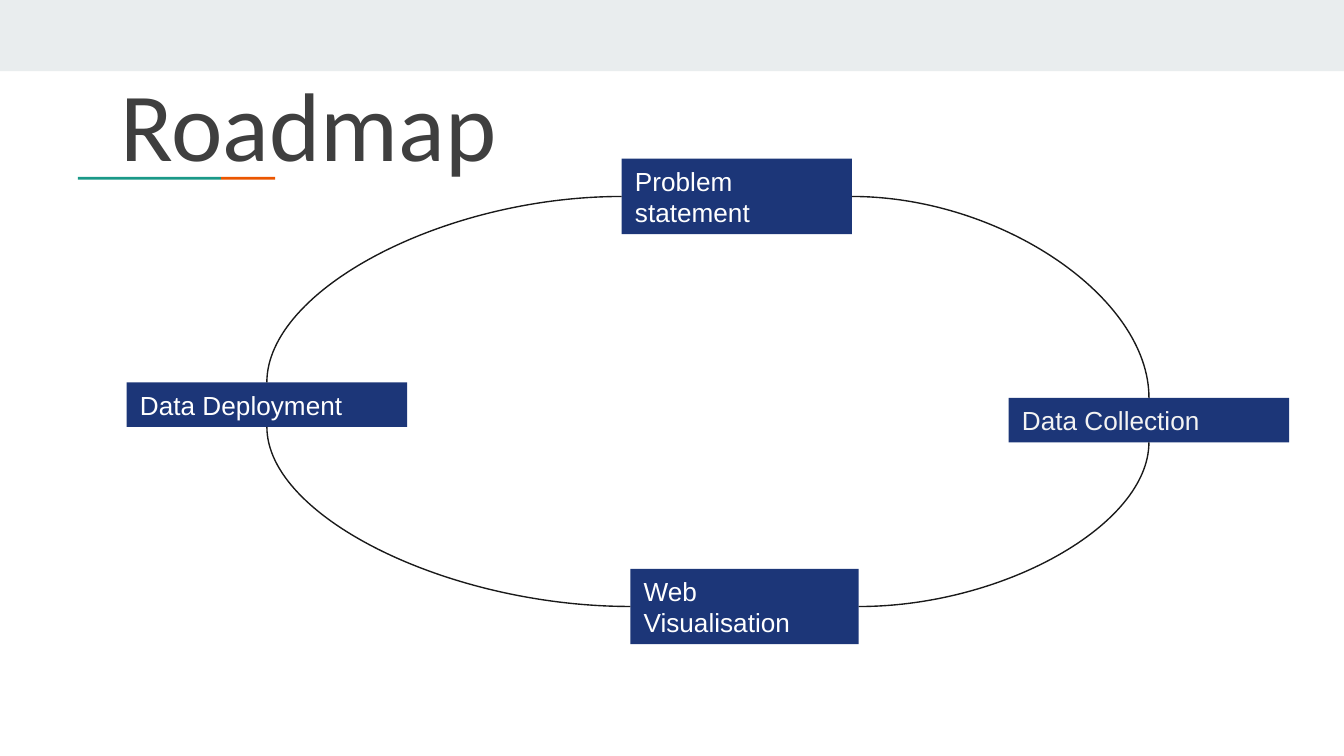
from lxml import etree
from pptx import Presentation
from pptx.dml.color import RGBColor
from pptx.enum.shapes import MSO_CONNECTOR, MSO_SHAPE
from pptx.enum.text import MSO_ANCHOR, PP_ALIGN
from pptx.oxml.ns import qn
from pptx.util import Pt

RECTANGLE = MSO_SHAPE.RECTANGLE
CURVE = MSO_CONNECTOR.CURVE
TOP = MSO_ANCHOR.TOP
MIDDLE = MSO_ANCHOR.MIDDLE
LEFT = PP_ALIGN.LEFT

SITE_TOP, SITE_LEFT, SITE_BOTTOM, SITE_RIGHT = range(4)

COLORS = {
    "band": "E9EDEE",
    "teal": "1A9988",
    "orange": "EB5600",
    "title": "3F3F3F",
    "navy": "1C3678",
    "white": "FFFFFF",
    "off_white": "F3F3F3",
    "curve": "1A1A1A",
}


def color(name):
    return RGBColor.from_string(COLORS[name])


def add_bar(slide, left, top, width, height, fill):
    shape = slide.shapes.add_shape(
        RECTANGLE, Pt(left), Pt(top), Pt(width), Pt(height))
    shape.shadow.inherit = False
    shape.fill.solid()
    shape.fill.fore_color.rgb = color(fill)
    shape.line.fill.background()
    return shape


def write_text(shape, text, size, font_name, font_color, anchor, inset):
    frame = shape.text_frame
    frame.word_wrap = True
    frame.vertical_anchor = anchor
    frame.margin_left = frame.margin_right = Pt(7.2)
    frame.margin_top = frame.margin_bottom = Pt(inset)
    paragraph = frame.paragraphs[0]
    paragraph.alignment = LEFT
    run = paragraph.add_run()
    run.text = text
    run.font.size = Pt(size)
    run.font.name = font_name
    run.font.color.rgb = color(font_color)
    return paragraph


def add_title(slide, text):
    shape = slide.shapes.add_textbox(Pt(57.6), Pt(36.7), Pt(605.5), Pt(42.5))
    paragraph = write_text(shape, text, 52.2, "Calibri", "title", TOP, 7.2)
    paragraph.line_spacing = 0.85


def add_step(slide, text, left, top, width, height, font_color="white"):
    shape = add_bar(slide, left, top, width, height, "navy")
    write_text(shape, text, 14, "Arial", font_color, MIDDLE, 3.6)
    return shape


def add_curve(slide, start, start_site, end, end_site):
    connector = slide.shapes.add_connector(CURVE, Pt(0), Pt(0), Pt(0), Pt(0))
    connector.begin_connect(start, start_site)
    connector.end_connect(end, end_site)
    connector.line.color.rgb = color("curve")
    connector.line.width = Pt(0.75)
    properties = connector._element.spPr
    properties.find(qn("a:prstGeom")).set("prst", "curvedConnector2")
    etree.SubElement(properties, qn("a:effectLst"))


def main():
    presentation = Presentation()
    presentation.slide_width = Pt(720)
    presentation.slide_height = Pt(405)
    slide = presentation.slides.add_slide(presentation.slide_layouts[6])

    add_bar(slide, 0, 0, 720, 38.2, "band")
    add_bar(slide, 41.8, 94.8, 76.6, 1.5, "teal")
    add_bar(slide, 118.4, 94.8, 29, 1.5, "orange")
    add_title(slide, "Roadmap")

    problem = add_step(slide, "Problem statement", 333.1, 85, 123.3, 40.5)
    deployment = add_step(slide, "Data Deployment", 67.9, 204.9, 150.2, 23.9)
    collection = add_step(
        slide, "Data Collection", 540.4, 213.1, 150.2, 23.9, "off_white")
    web = add_step(slide, "Web Visualisation", 337.7, 304.8, 122.3, 40.3)

    for step, side_site in ((problem, SITE_TOP), (web, SITE_BOTTOM)):
        add_curve(slide, step, SITE_RIGHT, collection, side_site)
        add_curve(slide, step, SITE_LEFT, deployment, side_site)

    presentation.save("out.pptx")


if __name__ == "__main__":
    main()
